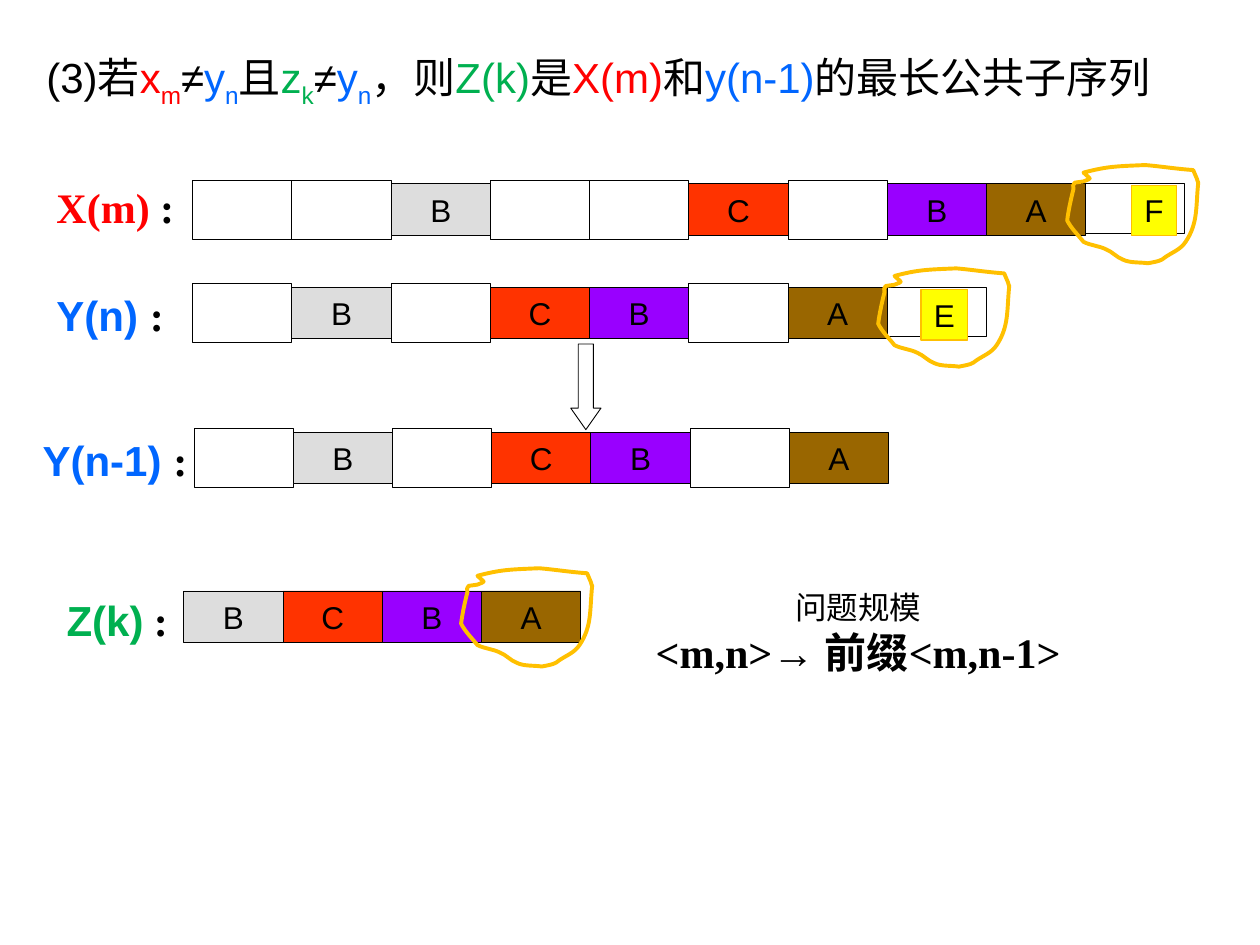
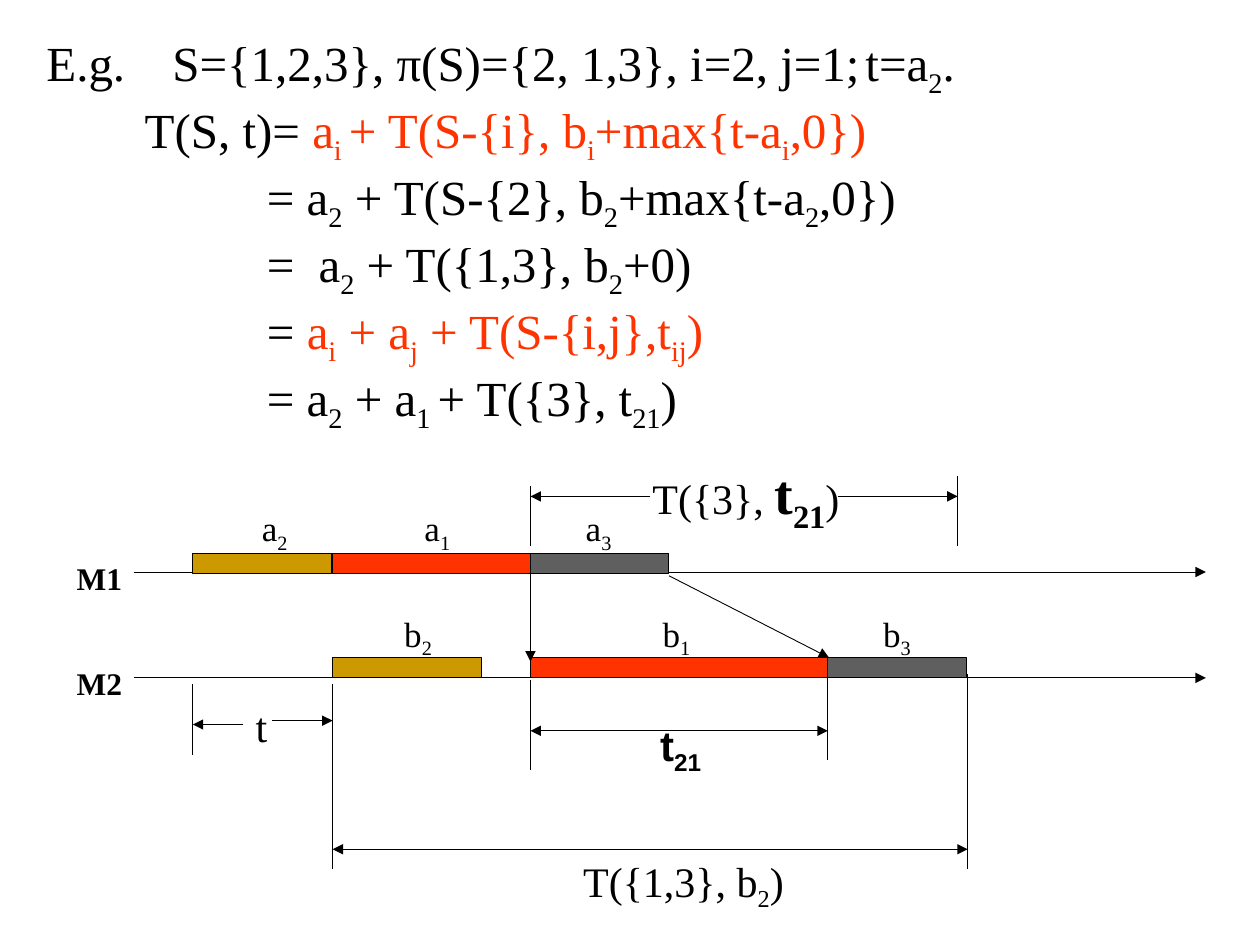
import dataclasses

import lxml.etree
import pptx
import pptx.dml.color
import pptx.enum.shapes
import pptx.enum.text
import pptx.oxml.ns
import pptx.util

Inches = pptx.util.Inches
Pt = pptx.util.Pt
qn = pptx.oxml.ns.qn
SHAPES = pptx.enum.shapes.MSO_SHAPE
ALIGN = pptx.enum.text.PP_ALIGN
ANCHOR = pptx.enum.text.MSO_ANCHOR
AUTO_SIZE = pptx.enum.text.MSO_AUTO_SIZE


@dataclasses.dataclass(frozen=True)
class Theme:
    sans: str = "Arial"
    serif: str = "Times New Roman"
    ink: str = "000000"
    x_red: str = "FF0000"
    y_blue: str = "0066FF"
    z_green: str = "00B050"
    accent: str = "FF3300"
    grey: str = "DDDDDD"
    purple: str = "9900FF"
    brown: str = "996600"
    yellow: str = "FFFF00"
    ring: str = "FFC000"
    ochre: str = "CC9900"
    slate: str = "5F5F5F"
    hairline: float = 0.5
    tag_line: float = 0.75
    ring_line: float = 2.25
    small: int = 18
    job: int = 20
    body: int = 24
    formula: int = 28
    emphasis: int = 32


THEME = Theme()

# Sequence cells: letter and fill
CELLS = {
    "B1": ("B", THEME.grey),
    "C": ("C", THEME.accent),
    "B2": ("B", THEME.purple),
    "A": ("A", THEME.brown),
}
# Cells without a letter: offset from the row top, and height
EMPTY_CELLS = {"-": (-0.03, 0.47), "end": (0, 0.39)}
CELL_PITCH = 6.3 / 8

# Hand-drawn ring in hundredths of an inch: start, then three points per curve
RING_START = (13, 6)
RING_CURVES = [
    ((32, 1), (39, 1), (62, 0)), ((74, 1), (86, 3), (100, 4)),
    ((101, 6), (102, 9), (103, 11)), ((103, 12), (104, 14), (104, 14)),
    ((102, 33), (104, 46), (94, 61)), ((90, 67), (84, 69), (78, 73)),
    ((76, 74), (75, 76), (73, 76)), ((70, 77), (64, 78), (64, 78)),
    ((58, 77), (50, 78), (44, 75)), ((39, 73), (36, 69), (31, 67)),
    ((25, 64), (19, 64), (13, 61)), ((9, 56), (3, 50), (0, 44)),
    ((1, 36), (3, 27), (5, 19)), ((5, 17), (4, 15), (6, 14)),
    ((8, 13), (11, 14), (13, 13)), ((20, 10), (19, 12), (13, 6)),
]


def rgb(colour):
    return pptx.dml.color.RGBColor.from_string(colour)


def apply_format(target, values):
    for attribute, value in values.items():
        setattr(target, attribute, value)


def add_spans(paragraph, spans, base):
    """Write (markup, colour, overrides) spans; ~x~ makes x a subscript."""
    for markup, colour, *overrides in spans:
        values = {**base, **(overrides[0] if overrides else {})}
        for index, piece in enumerate(markup.split("~")):
            if not piece:
                continue
            run = paragraph.add_run()
            run.text = piece
            apply_format(run.font, values)
            run.font.color.rgb = rgb(colour)
            if index % 2:
                run.font._element.set("baseline", "-25000")


def add_text(slide, place, paragraphs, size, font=THEME.serif, bold=False,
             wrap=False, align=None):
    frame = slide.shapes.add_textbox(*map(Inches, place)).text_frame
    apply_format(frame, {"word_wrap": wrap,
                         "auto_size": AUTO_SIZE.SHAPE_TO_FIT_TEXT})
    base = {"name": font, "size": Pt(size), "bold": bold}
    for index, spans in enumerate(paragraphs):
        paragraph = frame.add_paragraph() if index else frame.paragraphs[0]
        paragraph.alignment = align
        add_spans(paragraph, spans, base)
    return frame


def add_tabs(paragraph, stops):
    tab_list = lxml.etree.SubElement(
        paragraph._element.get_or_add_pPr(), qn("a:tabLst"))
    for stop in stops:
        lxml.etree.SubElement(tab_list, qn("a:tab"),
                              pos=str(Inches(stop)), algn="l")


def outline(shape, fill=None, line=THEME.ink, weight=THEME.hairline):
    shape.shadow.inherit = False
    if fill:
        shape.fill.solid()
        shape.fill.fore_color.rgb = rgb(fill)
    else:
        shape.fill.background()
    shape.line.color.rgb = rgb(line)
    shape.line.width = Pt(weight)


def add_box(slide, place, fill=None, letter="", **edge):
    box = slide.shapes.add_shape(SHAPES.RECTANGLE, *map(Inches, place))
    outline(box, fill, **edge)
    if letter:
        frame = box.text_frame
        apply_format(frame, {"vertical_anchor": ANCHOR.MIDDLE, "word_wrap": False})
        paragraph = frame.paragraphs[0]
        paragraph.alignment = ALIGN.CENTER
        add_spans(paragraph, [(letter, THEME.ink)],
                  {"name": THEME.sans, "size": Pt(THEME.small)})


def add_sequence(slide, left, top, cells):
    for index, cell in enumerate(cells.split()):
        letter, fill = CELLS.get(cell, ("", None))
        offset, height = EMPTY_CELLS.get(cell, (0, 0.41))
        add_box(slide, (left + index * CELL_PITCH, top + offset, CELL_PITCH, height),
                fill, letter)


def add_ring(slide, left, top):
    """Outline the control points, then turn each three into one cubic curve."""
    def place(point):
        return Inches(left + point[0] / 100), Inches(top + point[1] / 100)

    builder = slide.shapes.build_freeform(*place(RING_START))
    builder.add_line_segments(
        [place(point) for curve in RING_CURVES for point in curve], close=True)
    ring = builder.convert_to_shape()
    segments = list(ring._element.iter(qn("a:lnTo")))
    for first in range(0, len(segments), 3):
        curve = lxml.etree.Element(qn("a:cubicBezTo"))
        segments[first].addprevious(curve)
        for segment in segments[first:first + 3]:
            curve.append(segment[0])
            segment.getparent().remove(segment)
    outline(ring, line=THEME.ring, weight=THEME.ring_line)


def add_line(slide, start, end, arrows=()):
    """Draw a line; arrows lists the ends (head, tail) with a triangle."""
    connector = slide.shapes.add_connector(
        pptx.enum.shapes.MSO_CONNECTOR.STRAIGHT, *map(Inches, (*start, *end)))
    connector.line.color.rgb = rgb(THEME.ink)
    connector.line.width = Pt(THEME.hairline)
    properties = connector._element.spPr
    for arrow in arrows:
        lxml.etree.SubElement(properties.find(qn("a:ln")), qn(f"a:{arrow}End"),
                              type="triangle")
    lxml.etree.SubElement(properties, qn("a:effectLst"))


def build_subsequence_slide(slide):
    ink, red, blue, green = THEME.ink, THEME.x_red, THEME.y_blue, THEME.z_green
    add_text(slide, (0.27, 0.36, 9.39, 0.5), [[
        ("(3)若", ink), ("x~m~", red), ("≠", ink), ("y~n~", blue), ("且", ink),
        ("z~k~", green), ("≠", ink), ("y~n~", blue), ("，则", ink),
        ("Z(k)", green), ("是", ink), ("X(m)", red), ("和", ink),
        ("y(n-1)", blue), ("的最长公共子序列", ink)]],
        THEME.body, THEME.sans, wrap=True)

    add_sequence(slide, 1.53, 1.46, "- - B1 - - C - B2 A end")
    add_sequence(slide, 1.53, 2.28, "- B1 - C B2 - A end")
    add_sequence(slide, 1.54, 3.43, "- B1 - C B2 - A")
    add_sequence(slide, 1.46, 4.69, "B1 C B2 A")
    for left, top in [(3.66, 4.51), (6.97, 2.13), (8.47, 1.31)]:
        add_ring(slide, left, top)

    reduction = slide.shapes.add_shape(
        SHAPES.DOWN_ARROW, *map(Inches, (4.53, 2.73, 0.24, 0.68)))
    reduction.adjustments[1] = 0.71
    outline(reduction)

    add_text(slide, (5.1, 4.62, 3.42, 0.8), [
        [("问题规模", ink, {"size": Pt(THEME.small), "bold": False})],
        [("<m,n>→ 前缀<m,n-1>", ink)]],
        THEME.body, bold=True, wrap=True, align=ALIGN.CENTER)
    for name, colour, font, left, top, width in [
            ("X(m) ", red, THEME.serif, 0.35, 1.39, 1.14),
            ("Y(n) ", blue, THEME.sans, 0.35, 2.25, 1.06),
            ("Y(n-1) ", blue, THEME.sans, 0.24, 3.4, 1.36),
            ("Z(k)", green, THEME.sans, 0.43, 4.67, 1.03)]:
        colon = ":" if name.endswith(" ") else " :"
        add_text(slide, (left, top, width, 0.5),
                 [[(name, colour, {"name": font}), (colon, ink)]],
                 THEME.body, bold=True)
    for letter, left, top, width in [("F", 8.98, 1.47, 0.36), ("E", 7.31, 2.3, 0.37)]:
        add_box(slide, (left, top, width, 0.4), THEME.yellow, letter,
                line=THEME.ring, weight=THEME.tag_line)


def add_derivation(slide):
    """Write the derivation; each row has a left margin and a first-line indent."""
    ink, accent = THEME.ink, THEME.accent
    rows = [
        (0, 0, [("E.g.\tS={1,2,3}, π(S)={2, 1,3}, i=2, j=1;\tt=a~2~.", ink)]),
        (0.78, 0, [("T(S, t)= ", ink),
                   ("a~i ~+ T(S-{i}, b~i~+max{t-a~i~,0})", accent)]),
        (1.75, 0, [("= a~2~ + T(S-{2}, b~2~+max{t-a~2~,0})", ink)]),
        (2.16, -0.41, [("=\ta~2~ + T({1,3}, b~2~+0)", ink)]),
        (1.75, 0, [("= ", ink), ("a~i~ + a~j~ + T(S-{i,j},t~ij~)", accent)]),
        (1.75, 0, [("= a~2~ + a~1 ~+ T({3}, t~21~)", ink)]),
    ]
    frame = add_text(slide, (0.27, 0.21, 9.39, 2.9), [row[-1] for row in rows],
                     THEME.formula, wrap=True)
    for paragraph, (margin, indent, _) in zip(frame.paragraphs, rows):
        properties = paragraph._element.get_or_add_pPr()
        properties.set("marL", str(Inches(margin)))
        properties.set("indent", str(Inches(indent)))
    add_tabs(frame.paragraphs[0], [0.92, 6.57])


def add_schedule(slide):
    """Draw both machine axes with their jobs."""
    jobs_by_machine = [
        ("M1", 4.39, 4.54, 3.97, [("a~2~", 1.53, 1.1, THEME.ochre, 1.98),
                                  ("a~1~", 2.64, 1.57, THEME.accent, 3.27),
                                  ("a~3~", 4.21, 1.1, THEME.slate, 4.55)]),
        ("M2", 5.22, 5.38, 4.81, [("b~2~", 2.64, 1.18, THEME.ochre, 3.11),
                                  ("b~1~", 4.21, 2.36, THEME.accent, 5.16),
                                  ("b~3~", 6.57, 1.1, THEME.slate, 6.91)]),
    ]
    for machine, top, axis, label_top, jobs in jobs_by_machine:
        add_line(slide, (1.06, axis), (9.57, axis), ["tail"])
        add_text(slide, (0.51, top, 0.56, 0.4), [[(machine, THEME.ink)]],
                 THEME.small, bold=True)
        for job, left, width, colour, label_left in jobs:
            add_box(slide, (left, top, width, 0.16), colour)
            add_text(slide, (label_left, label_top, 0.42, 0.43),
                     [[(job, THEME.ink)]], THEME.job)


def build_schedule_slide(slide):
    add_derivation(slide)
    add_schedule(slide)

    for x, top, bottom in [(1.53, 5.43, 5.99), (2.64, 5.43, 6.9), (4.21, 3.86, 4.33),
                           (7.6, 3.78, 4.33), (7.68, 5.35, 6.9), (4.21, 5.4, 6.11),
                           (6.57, 5.32, 6.03)]:
        add_line(slide, (x, top), (x, bottom))
    for start, end in [((4.21, 4.54), (4.21, 5.25)), ((5.31, 4.57), (6.58, 5.22)),
                       ((2.16, 5.72), (2.64, 5.72)), ((1.93, 5.75), (1.53, 5.75)),
                       ((6.65, 3.94), (7.6, 3.94)), ((5.16, 3.94), (4.21, 3.94))]:
        add_line(slide, start, end, ["tail"])
    for left, right, y in [(2.64, 7.68, 6.74), (4.21, 6.57, 5.8)]:
        add_line(slide, (left, y), (right, y), ["head", "tail"])

    ink = THEME.ink
    add_text(slide, (1.93, 5.51, 0.29, 0.5), [[("t", ink)]], THEME.body)
    add_text(slide, (5.08, 3.59, 1.72, 0.63), [[
        ("T({3}, ", ink),
        ("t~21~", ink, {"size": Pt(THEME.emphasis), "bold": True}),
        (")", ink)]], THEME.body)
    add_text(slide, (4.53, 6.74, 1.81, 0.5), [[("T({1,3}, b~2~)", ink)]], THEME.body)
    add_text(slide, (5.14, 5.66, 0.56, 0.5), [[("t~21~", ink)]],
             THEME.body, THEME.sans, bold=True)


def main():
    deck = pptx.Presentation()
    apply_format(deck, {"slide_width": Inches(10), "slide_height": Inches(7.5)})
    for build in (build_subsequence_slide, build_schedule_slide):
        build(deck.slides.add_slide(deck.slide_layouts[6]))
    deck.save("out.pptx")


if __name__ == "__main__":
    main()
